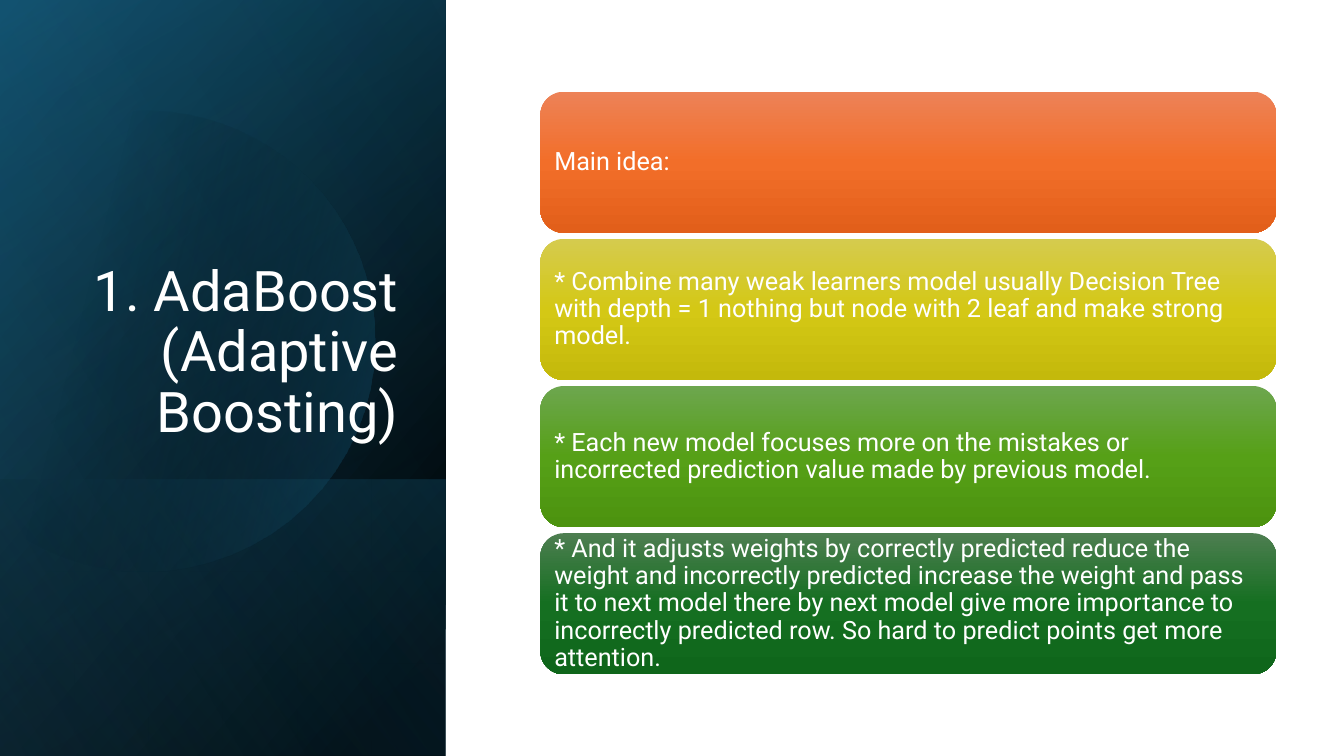
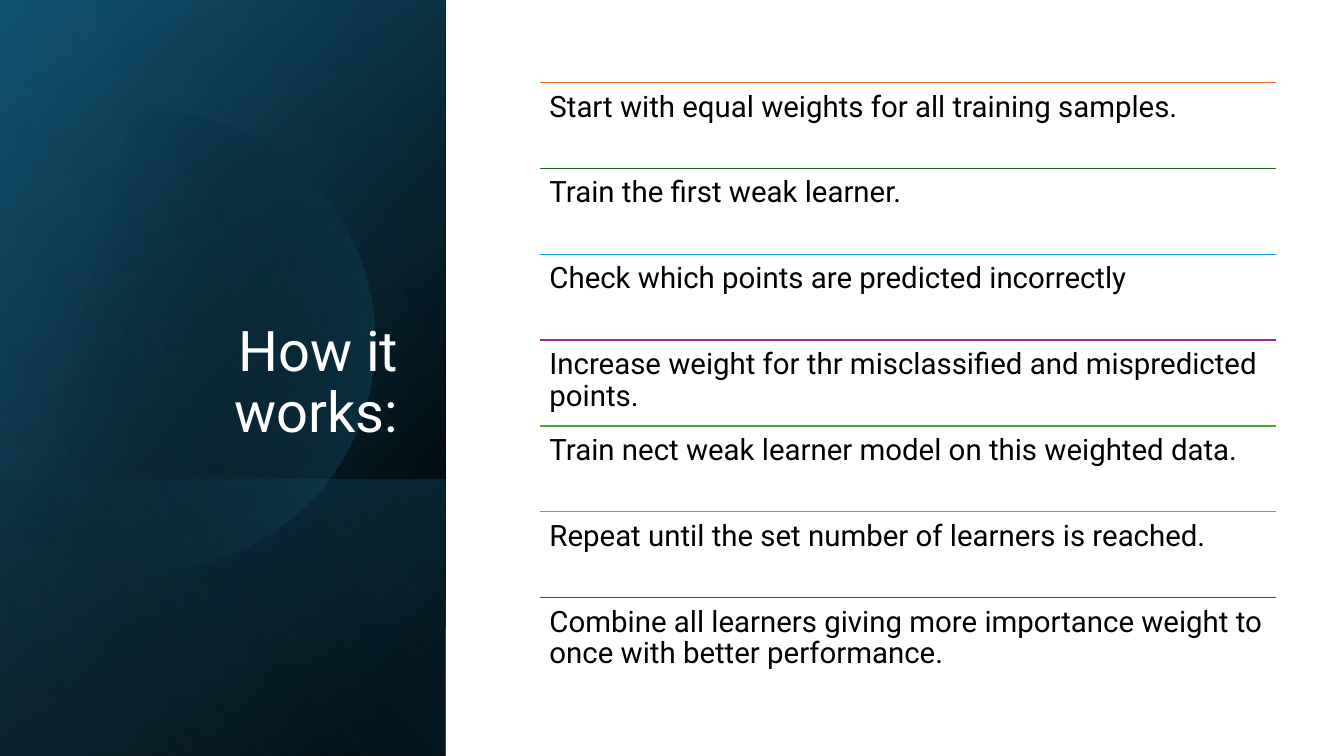
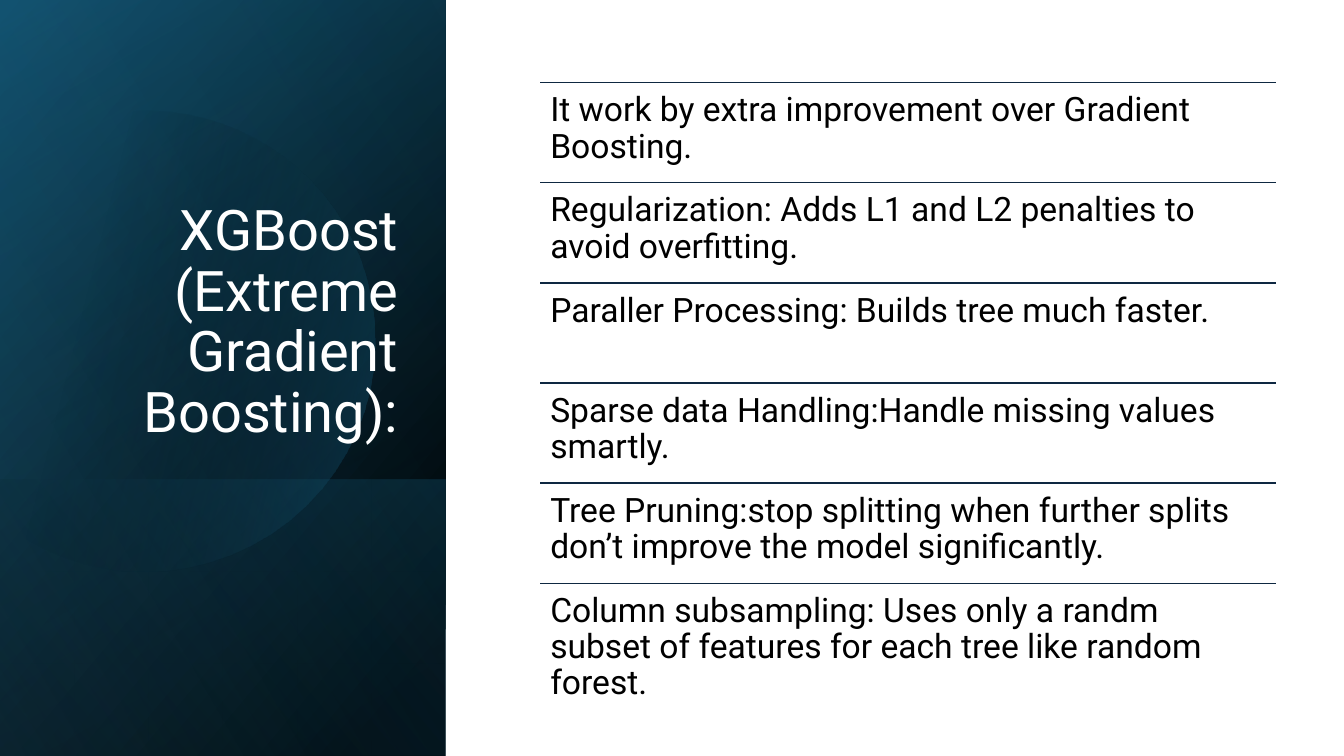
from lxml.etree import SubElement
from pptx import Presentation
from pptx.dml.color import RGBColor
from pptx.enum.shapes import MSO_CONNECTOR as Connector, MSO_SHAPE as Shape
from pptx.enum.text import MSO_ANCHOR as Anchor, MSO_AUTO_SIZE as AutoSize, PP_ALIGN as Align
from pptx.oxml.ns import qn
from pptx.util import Inches, Pt

FONT = "Roboto"
WHITE, BLACK, NAVY = "FFFFFF", "000000", "0E2841"
ORANGE, GREEN, BLUE, PURPLE, LIME = "E97132", "196B24", "0F9ED5", "A02B93", "4EA72E"

# Content column on the right
LEFT, WIDTH = 5.36, 7.3
ROWS_TOP, ROWS_HEIGHT = 0.82, 5.96
CARD_TOP, CARD_HEIGHT, CARD_PITCH = 0.91, 1.4, 1.46

# Side band: place, gradient stops (position, colour, opacity) and angle
PANEL = (-1.54, 1.54, 7.5, 4.42)
BAND_UNDER = [
    (PANEL, [(8, BLACK, 100), (100, "104862", 100)], 50),
    (PANEL, [(0, BLACK, 0), (99, "156082", 46)], 30),
    ((0.84, 3.92, 2.74, 4.42), [(2, "156082", 29), (100, BLACK, 30)], 130),
]
BAND_OVER = (PANEL, [(0, BLACK, 0), (99, "46B1E1", 11)], 120)

# Cut disc: each entry is a line end, or the three points of a curve
DISC_START = (1.49, 1.1)
DISC_SEGMENTS = [
    [(2.46, 1.12), (3.35, 1.77), (3.63, 2.75)],
    [(3.98, 3.97), (3.28, 5.23), (2.07, 5.58)],
    [(1.31, 5.8), (0.53, 5.61), (-0.03, 5.14)],
    [(-0.15, 5.03)],
    [(-0.15, 1.75)],
    [(0, 1.61)],
    [(0.23, 1.42), (0.5, 1.28), (0.8, 1.19)],
    [(1.03, 1.13), (1.26, 1.1), (1.49, 1.1)],
]
DISC_STOPS = [(29, BLACK, 0), (100, "156082", 43)]


def color(value):
    return RGBColor.from_string(value)


def curve_points(start, first, second, end, steps=16):
    """Points along a cubic curve, without its start."""
    for step in range(1, steps + 1):
        t = step / steps
        weights = ((1 - t) ** 3, 3 * t * (1 - t) ** 2, 3 * t * t * (1 - t), t ** 3)
        points = (start, first, second, end)
        yield tuple(sum(w * point[axis] for w, point in zip(weights, points))
                    for axis in (0, 1))


class Builder:
    """Holds the style and the slide being built."""

    def __init__(self):
        self.deck = Presentation()
        self.deck.slide_width = Inches(13.33)
        self.deck.slide_height = Inches(7.5)
        self.page = None

    def new_page(self, title):
        self.page = self.deck.slides.add_slide(self.deck.slide_layouts[5])
        self.band()
        self.title(title)

    def gradient(self, shape, stops, angle):
        shape.shadow.inherit = False
        shape.line.fill.background()
        shape.fill.background()
        properties = shape.element.spPr
        fill = properties.makeelement(qn("a:gradFill"), {"rotWithShape": "1"})
        stop_list = SubElement(fill, qn("a:gsLst"))
        for position, value, opacity in stops:
            stop = SubElement(stop_list, qn("a:gs"), pos=str(position * 1000))
            tint = SubElement(stop, qn("a:srgbClr"), val=value)
            if opacity < 100:
                SubElement(tint, qn("a:alpha"), val=str(opacity * 1000))
        SubElement(fill, qn("a:lin"), ang=str(angle * 60000), scaled="0")
        properties.replace(properties.find(qn("a:noFill")), fill)

    def panel(self, place, stops, angle):
        panel = self.page.shapes.add_shape(Shape.RECTANGLE, *map(Inches, place))
        panel.rotation = 90
        panel.element.spPr.find(qn("a:xfrm")).set("flipH", "1")
        self.gradient(panel, stops, angle)

    def disc(self):
        outline = [DISC_START]
        for segment in DISC_SEGMENTS:
            if len(segment) == 3:
                outline.extend(curve_points(outline[-1], *segment))
            else:
                outline.extend(segment)
        points = [(Inches(x), Inches(y)) for x, y in outline]
        builder = self.page.shapes.build_freeform(*points[0])
        builder.add_line_segments(points[1:], close=True)
        self.gradient(builder.convert_to_shape(), DISC_STOPS, 14)

    def band(self):
        for layer in BAND_UNDER:
            self.panel(*layer)
        self.disc()
        self.panel(*BAND_OVER)

    def add_text(self, shape, text, size, value, inset=None, anchor=Anchor.TOP, align=Align.LEFT):
        frame = shape.text_frame
        frame.word_wrap = True
        frame.auto_size = AutoSize.NONE
        frame.vertical_anchor = anchor
        if inset is not None:
            frame.margin_left = frame.margin_right = Inches(inset)
            frame.margin_top = frame.margin_bottom = Inches(inset)
        para = frame.paragraphs[0]
        para.alignment = align
        para.line_spacing = 0.9
        span = para.add_run()
        span.text = text
        span.font.name = FONT
        span.font.size = Pt(size)
        span.font.color.rgb = color(value)

    def title(self, text):
        title = self.page.shapes.title
        title.left, title.top = Inches(0.64), Inches(1.84)
        title.width, title.height = Inches(3.41), Inches(2.62)
        self.add_text(title, text, 40, WHITE, anchor=Anchor.BOTTOM, align=Align.RIGHT)
        # Bring the title in front of the band
        self.page.shapes.element.append(title.element)

    def cards(self, cards):
        for index, (text, shades) in enumerate(cards):
            top = CARD_TOP + index * CARD_PITCH
            card = self.page.shapes.add_shape(
                Shape.ROUNDED_RECTANGLE, Inches(LEFT), Inches(top),
                Inches(WIDTH), Inches(CARD_HEIGHT))
            stops = [(place, shade, 100) for place, shade in zip((0, 50, 100), shades)]
            self.gradient(card, stops, 90)
            self.add_text(card, text, 18, WHITE, 0.07, Anchor.MIDDLE)

    def rule(self, top, value):
        line = self.page.shapes.add_connector(
            Connector.STRAIGHT, Inches(LEFT), Inches(top), Inches(LEFT + WIDTH), Inches(top))
        line.line.color.rgb = color(value)
        line.line.width = Pt(1)
        SubElement(line.element.spPr, qn("a:effectLst"))

    def rows(self, texts, colors, size, inset):
        height = ROWS_HEIGHT / len(texts)
        for index, text in enumerate(texts):
            top = ROWS_TOP + index * height
            self.rule(top, colors[index % len(colors)])
            box = self.page.shapes.add_textbox(
                Inches(LEFT), Inches(top), Inches(WIDTH), Inches(height))
            self.add_text(box, text, size, BLACK, inset)


def main():
    builder = Builder()

    # Main idea
    builder.new_page("1. AdaBoost (Adaptive Boosting)")
    builder.cards([
        ("Main idea:", ("ED8257", "F26E29", "E25F1A")),
        ("* Combine many weak learners model usually Decision Tree with depth = 1 "
         "nothing but node with 2 leaf and make strong model.",
         ("D5CB4E", "D4C815", "C4B90B")),
        ("* Each new model focuses more on the mistakes or incorrected prediction "
         "value made by previous model.",
         ("6DA64E", "56A017", "4C930F")),
        ("* And it adjusts weights by correctly predicted reduce the weight and "
         "incorrectly predicted increase the weight and pass it to next model there "
         "by next model give more importance to incorrectly predicted row. So hard "
         "to predict points get more attention.",
         ("4D7E50", "156F21", "0F661B")),
    ])

    # Steps
    builder.new_page("How it works:")
    builder.rows([
        "Start with equal weights for all training samples.",
        "Train the first weak learner.",
        "Check which points are predicted incorrectly",
        "Increase weight for thr misclassified and mispredicted points.",
        "Train nect weak learner model on this weighted data.",
        "Repeat until the set number of learners is reached.",
        "Combine all learners giving more importance weight to once with better performance.",
    ], [ORANGE, GREEN, BLUE, PURPLE, LIME], 21, 0.09)

    # Extreme gradient boosting
    builder.new_page("XGBoost (Extreme Gradient Boosting):")
    builder.rows([
        "It work by extra improvement over Gradient Boosting.",
        "Regularization: Adds L1 and L2 penalties to avoid overfitting.",
        "Paraller Processing: Builds tree much faster.",
        "Sparse data Handling:Handle missing values smartly.",
        "Tree Pruning:stop splitting when further splits don’t improve the model significantly.",
        "Column subsampling: Uses only a randm subset of features for each tree like random forest.",
    ], [NAVY], 24, 0.1)

    builder.deck.save("out.pptx")


if __name__ == "__main__":
    main()
